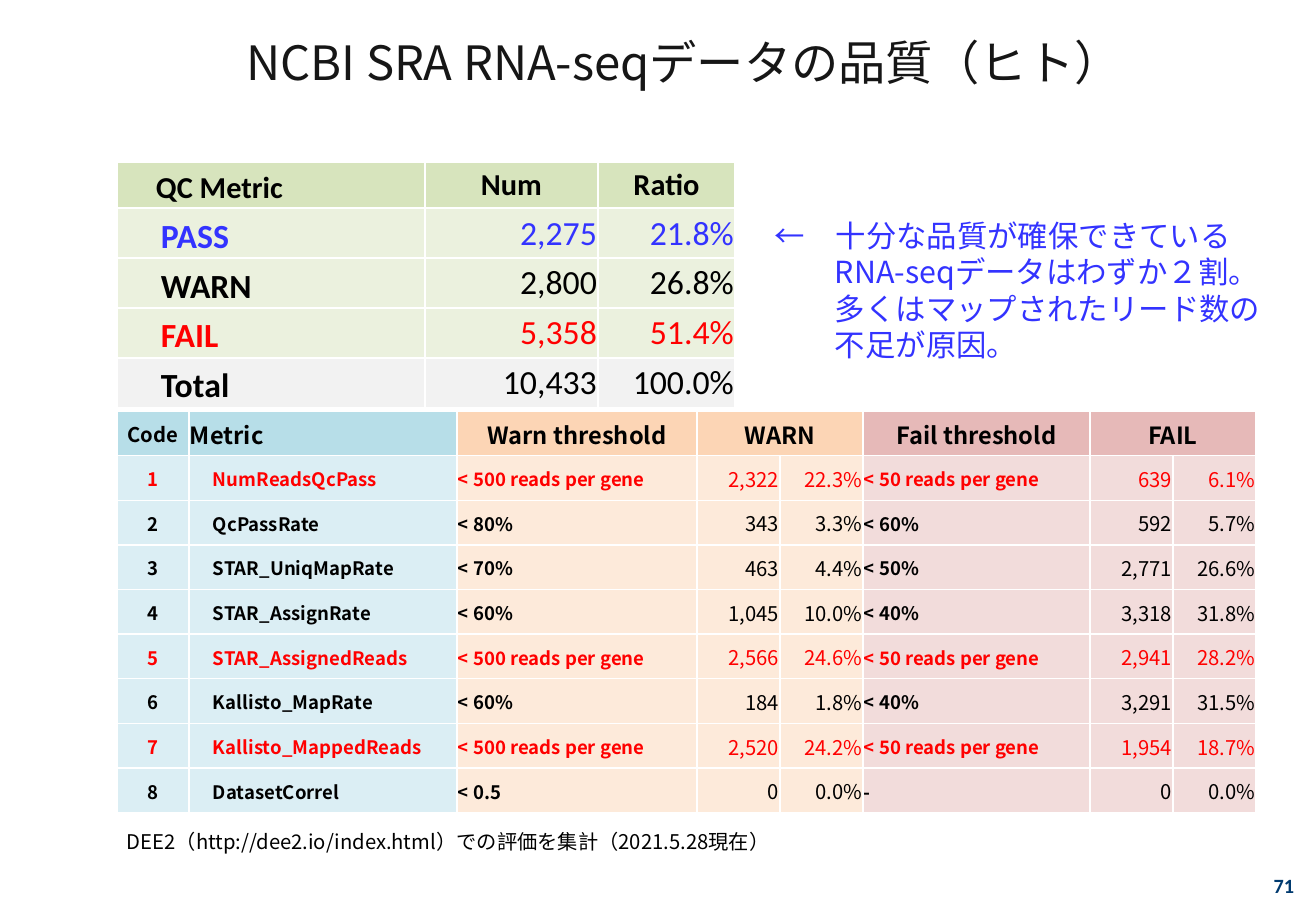
from lxml import etree
from pptx import Presentation
from pptx.dml.color import RGBColor
from pptx.enum.text import MSO_ANCHOR, PP_ALIGN
from pptx.oxml.ns import qn
from pptx.util import Emu, Pt

LEFT, CENTER, RIGHT = PP_ALIGN.LEFT, PP_ALIGN.CENTER, PP_ALIGN.RIGHT
TOP, MIDDLE = MSO_ANCHOR.TOP, MSO_ANCHOR.MIDDLE
EMU_PER_PX = 914400 / 121.5
NOTO, CALIBRI = "Noto Sans CJK JP", "Calibri"
BLACK, WHITE, RED, BLUE = "000000", "FFFFFF", "FF0000", "3333FF"

TITLE = "NCBI SRA RNA-seqデータの品質（ヒト）"
SOURCE = "DEE2（http://dee2.io/index.html）での評価を集計（2021.5.28現在）"
NOTE = [
    ("←　十分な品質が確保できているRNA-seqデータはわずか２割。", -60),
    ("多くはマップされたリード数の不足が原因。", 0),
]

SUMMARY_HEADER = ["QC Metric", "Num", "Ratio"]
SUMMARY_ROWS = [
    ("PASS", "2,275", "21.8%"),
    ("WARN", "2,800", "26.8%"),
    ("FAIL", "5,358", "51.4%"),
    ("Total", "10,433", "100.0%"),
]
SUMMARY_WIDTHS = [308, 173, 137]
SUMMARY_HEIGHTS = [46, 50, 50, 50, 50]
SUMMARY_COLOURS = {"PASS": BLUE, "FAIL": RED}

METRIC_HEADER = ["Code", "Metric", "Warn threshold", "WARN", "",
                 "Fail threshold", "FAIL", ""]
METRIC_ROWS = [
    ("1", "NumReadsQcPass", "< 500 reads per gene", "2,322", "22.3%",
     "< 50 reads per gene", "639", "6.1%"),
    ("2", "QcPassRate", "< 80%", "343", "3.3%", "< 60%", "592", "5.7%"),
    ("3", "STAR_UniqMapRate", "< 70%", "463", "4.4%", "< 50%", "2,771", "26.6%"),
    ("4", "STAR_AssignRate", "< 60%", "1,045", "10.0%", "< 40%", "3,318", "31.8%"),
    ("5", "STAR_AssignedReads", "< 500 reads per gene", "2,566", "24.6%",
     "< 50 reads per gene", "2,941", "28.2%"),
    ("6", "Kallisto_MapRate", "< 60%", "184", "1.8%", "< 40%", "3,291", "31.5%"),
    ("7", "Kallisto_MappedReads", "< 500 reads per gene", "2,520", "24.2%",
     "< 50 reads per gene", "1,954", "18.7%"),
    ("8", "DatasetCorrel", "< 0.5", "0", "0.0%", "-", "0", "0.0%"),
]
METRIC_WIDTHS = [72, 268, 240, 83, 83, 227, 83, 83]
METRIC_HEIGHT = 402
METRIC_HEAD_FILLS = ["B7DEE8"] * 2 + ["FCD5B5"] * 3 + ["E6B9B8"] * 3
METRIC_BODY_FILLS = ["DBEEF4"] * 2 + ["FDEADA"] * 3 + ["F2DCDB"] * 3
NUMBER_COLUMNS = (3, 4, 6, 7)
READ_COUNT_CODES = ("1", "5", "7")


def px(length):
    return Emu(round(length * EMU_PER_PX))


def rgb(colour):
    return RGBColor.from_string(colour)


def write(para, text, size=12, font=NOTO, colour=BLACK, bold=False, align=LEFT):
    para.alignment = align
    span = para.add_run()
    span.text = text
    span.font.size = Pt(size)
    span.font.name = font
    span.font.bold = bold
    span.font.color.rgb = rgb(colour)
    etree.SubElement(span.font._element, qn("a:ea"), typeface=font)


def add_text(page, place, anchor=TOP, wrap=True):
    box = page.shapes.add_textbox(*map(px, place))
    frame = box.text_frame
    frame.word_wrap = wrap
    frame.vertical_anchor = anchor
    return frame


def add_borders(cell):
    properties = cell._tc.get_or_add_tcPr()
    for side in ("a:lnL", "a:lnR", "a:lnT", "a:lnB"):
        line = etree.SubElement(properties, qn(side), w=str(Pt(1)))
        fill = etree.SubElement(line, qn("a:solidFill"))
        etree.SubElement(fill, qn("a:srgbClr"), val=WHITE)


def add_grid(page, left, top, widths, heights, rows, style):
    place = map(px, (left, top, sum(widths), sum(heights)))
    table = page.shapes.add_table(len(rows), len(widths), *place).table
    table.first_row = table.horz_banding = False
    for column, width in zip(table.columns, widths):
        column.width = px(width)
    for r, (row, height) in enumerate(zip(rows, heights)):
        table.rows[r].height = px(height)
        for c, text in enumerate(row):
            cell = table.cell(r, c)
            fill, indent, drop, look = style(r, c, row)
            add_borders(cell)
            cell.fill.solid()
            cell.fill.fore_color.rgb = rgb(fill)
            cell.vertical_anchor = MIDDLE
            cell.margin_left, cell.margin_right = px(1 + indent), px(1)
            cell.margin_top, cell.margin_bottom = px(1 + drop), 0
            if text:
                write(cell.text_frame.paragraphs[0], text, **look)
    return table


def summary_style(r, c, row):
    label = c == 0
    drop = 6 if label else 0
    if r == 0:
        look = dict(size=18, font=CALIBRI, bold=True, align=LEFT if label else CENTER)
        return "D7E4BD", 38 if label else 0, drop, look
    look = dict(size=20, font=CALIBRI, bold=label, align=LEFT if label else RIGHT,
                colour=SUMMARY_COLOURS.get(row[0], BLACK))
    fill = "F2F2F2" if row[0] == "Total" else "EBF1DE"
    return fill, 43 if label else 0, drop, look


def metric_style(r, c, row):
    if r == 0:
        look = dict(size=12 if c == 0 else 14, bold=True,
                    align=LEFT if c == 1 else CENTER)
        return METRIC_HEAD_FILLS[c], 0, 0, look
    number = c in NUMBER_COLUMNS
    look = dict(size=12 if number else 11, bold=not number,
                colour=RED if row[0] in READ_COUNT_CODES else BLACK,
                align=RIGHT if number else CENTER if c == 0 else LEFT)
    return METRIC_BODY_FILLS[c], 23 if c == 1 else 0, 0, look


def main():
    deck = Presentation()
    deck.slide_width, deck.slide_height = px(1316), px(911)
    page = deck.slides.add_slide(deck.slide_layouts[6])

    title = add_text(page, (102, 2, 1164, 120), anchor=MIDDLE)
    write(title.paragraphs[0], TITLE, size=28, colour="161616", align=CENTER)
    number = add_text(page, (1248, 861, 58, 49), anchor=MIDDLE)
    write(number.paragraphs[0], "71", font=CALIBRI, colour="003A6F",
          bold=True, align=RIGHT)

    add_grid(page, 117, 162, SUMMARY_WIDTHS, SUMMARY_HEIGHTS,
             [SUMMARY_HEADER] + SUMMARY_ROWS, summary_style)
    metric_rows = [METRIC_HEADER] + METRIC_ROWS
    metric_heights = [METRIC_HEIGHT / len(metric_rows)] * len(metric_rows)
    metrics = add_grid(page, 117, 411, METRIC_WIDTHS, metric_heights,
                       metric_rows, metric_style)
    for c in (3, 6):
        metrics.cell(0, c).merge(metrics.cell(0, c + 1))

    source = add_text(page, (115, 823, 704, 36), wrap=False)
    write(source.paragraphs[0], SOURCE)

    note = add_text(page, (763, 211, 521, 159))
    for i, (text, indent) in enumerate(NOTE):
        para = note.add_paragraph() if i else note.paragraphs[0]
        write(para, text, size=18, colour=BLUE)
        properties = para._p.get_or_add_pPr()
        properties.set("marL", str(px(60)))
        properties.set("indent", str(px(indent)))

    deck.save("out.pptx")


if __name__ == "__main__":
    main()
